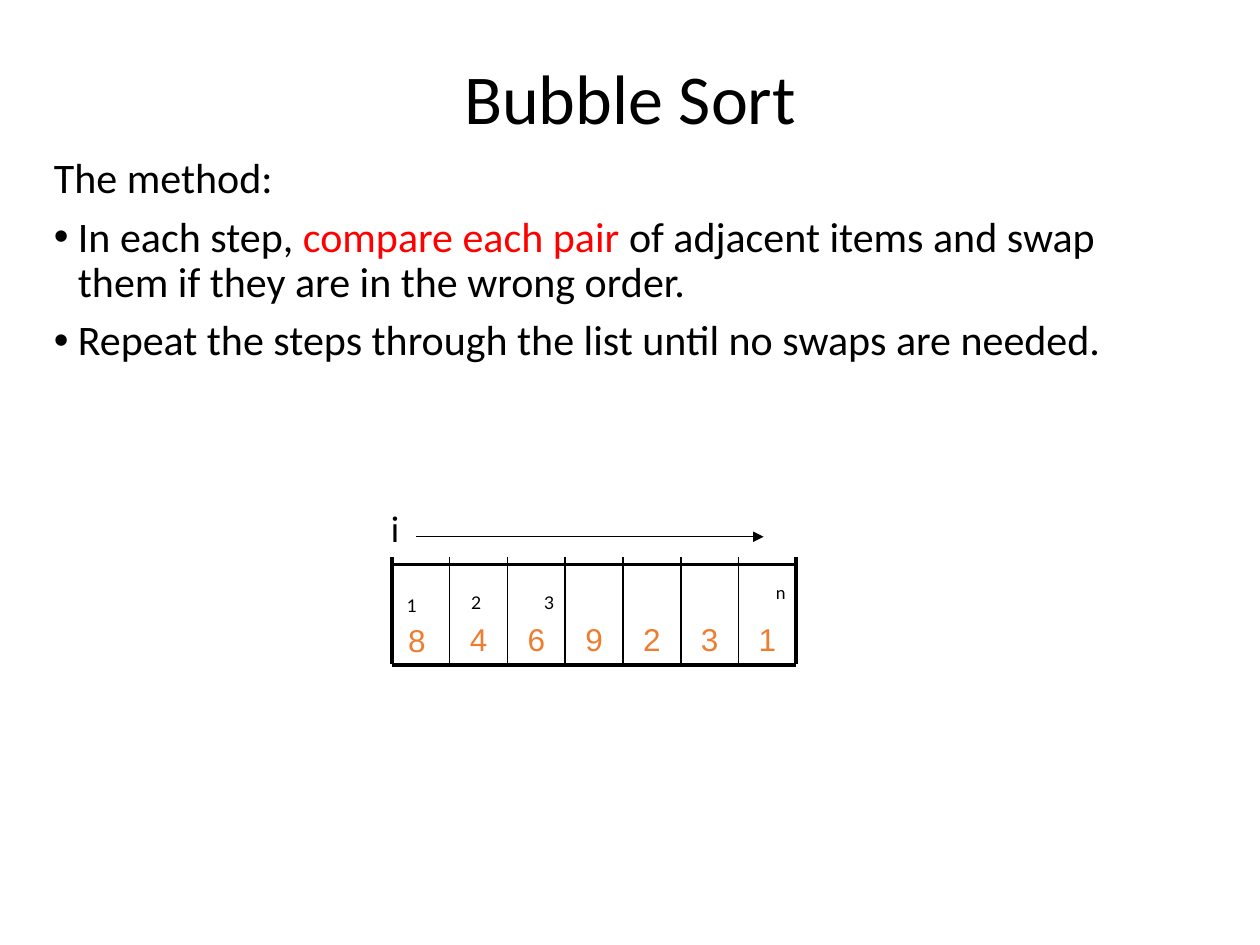
from pptx import Presentation
from pptx import util as u
from pptx.dml.color import RGBColor
from pptx.enum import shapes, text
from lxml import etree

BLACK = RGBColor(0, 0, 0)
RED = RGBColor(255, 0, 0)
ORANGE = RGBColor(0xED, 0x7D, 0x31)

# Content
TITLE = "Bubble Sort"
BODY = [  # (bulleted, runs)
    (False, [("The method:", BLACK)]),
    (True, [("In each step, ", BLACK), ("compare each pair ", RED),
            ("of adjacent items and swap them if they are in the wrong order.", BLACK)]),
    (True, [("Repeat the steps through the list until no swaps are needed.", BLACK)]),
]
ITEMS = [8, 4, 6, 9, 2, 3, 1]
MARKS = [  # label, left, top, width, height, size
    ("1", 3.13, 4.67, 0.25, 0.27, 10),
    ("2", 3.64, 4.65, 0.25, 0.27, 10),
    ("3", 4.22, 4.65, 0.25, 0.27, 10),
    ("n", 6.06, 4.57, 0.34, 0.27, 10),
    ("i", 3.01, 3.98, 0.19, 0.44, 20),
]

# Grid of the array
LEFT, RIGHT, TOP, BASE = 3.11, 6.32, 4.42, 5.27
CELL = (RIGHT - LEFT) / len(ITEMS)
RAIL = 4.48
ARROW = (3.3, 4.26, 6.06, 4.26)

deck = Presentation()
deck.slide_width, deck.slide_height = u.Inches(10), u.Inches(7.5)
slide = deck.slides.add_slide(deck.slide_layouts[6])


def style(item, **vals):
    for key, val in vals.items():
        setattr(item, key, val)


def add_box(x, y, w, h, anchor=text.MSO_ANCHOR.TOP):
    box = slide.shapes.add_textbox(*map(u.Inches, (x, y, w, h)))
    style(box.text_frame, word_wrap=True, vertical_anchor=anchor)
    return box.text_frame


def add_run(para, words, size, font, color=BLACK):
    run = para.add_run()
    run.text = words
    style(run.font, size=u.Pt(size), name=font)
    run.font.color.rgb = color


def add_line(x1, y1, x2, y2, width):
    line = slide.shapes.add_connector(
        shapes.MSO_CONNECTOR.STRAIGHT, *map(u.Inches, (x1, y1, x2, y2)))
    line.line.color.rgb = BLACK
    line.line.width = u.Pt(width)
    add_tag(line._element.spPr, "effectLst")
    return line


def add_tag(parent, name, **vals):
    space = "{http://schemas.openxmlformats.org/drawingml/2006/main}"
    return etree.SubElement(parent, space + name, **vals)


# Title
para = add_box(0.69, 0.4, 8.62, 0.81, text.MSO_ANCHOR.MIDDLE).paragraphs[0]
style(para, alignment=text.PP_ALIGN.CENTER, line_spacing=0.9)
add_run(para, TITLE, 40, "Calibri")

# Method
frame = add_box(0.33, 1.2, 8.62, 4.76)
for row, (dot, runs) in enumerate(BODY):
    para = frame.add_paragraph() if row else frame.paragraphs[0]
    style(para, line_spacing=0.9, space_before=u.Pt(7.5))
    if dot:
        props = para._p.get_or_add_pPr()
        props.set("marL", str(u.Inches(0.19)))
        props.set("indent", str(-u.Inches(0.19)))
        add_tag(props, "buFont", typeface="Arial")
        add_tag(props, "buChar", char="•")
    for words, color in runs:
        add_run(para, words, 24, "Calibri", color)

# Index labels and scan arrow
for label, x, y, w, h, size in MARKS:
    add_run(add_box(x, y, w, h).paragraphs[0], label, size, "Lato")
arrow = add_line(*ARROW, 0.75)
add_tag(arrow.line._get_or_add_ln(), "tailEnd", type="triangle")

# Array values
for col, item in enumerate(ITEMS):
    x = LEFT + col * CELL if col else LEFT - 0.03
    drop = 0 if col else 0.01
    para = add_box(x, TOP + drop, CELL, BASE - TOP, text.MSO_ANCHOR.BOTTOM).paragraphs[0]
    para.alignment = text.PP_ALIGN.CENTER
    add_run(para, str(item), 18, "Arial", ORANGE)

# Array frame and dividers
for y in (RAIL, BASE + 0.01):
    add_line(LEFT, y, RIGHT, y, 2.25)
for col in range(len(ITEMS) + 1):
    x = LEFT + col * CELL
    add_line(x, TOP, x, BASE, 2.25 if col in (0, len(ITEMS)) else 1)

deck.save("out.pptx")
